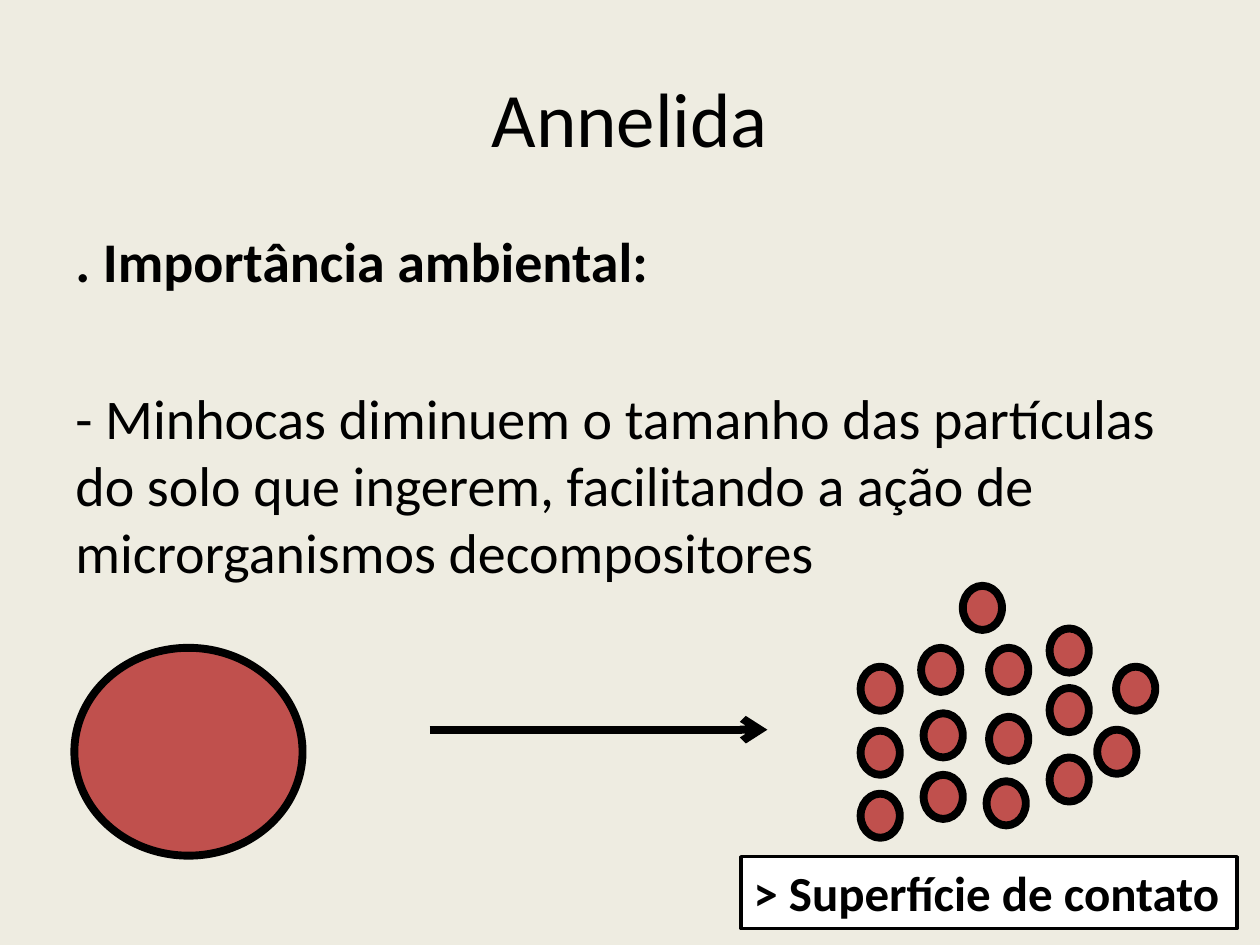
from lxml.etree import SubElement
from pptx import Presentation
from pptx.dml.color import RGBColor
from pptx.enum.shapes import MSO_CONNECTOR, MSO_SHAPE
from pptx.enum.text import MSO_ANCHOR, PP_ALIGN
from pptx.oxml.ns import qn
from pptx.util import Cm, Pt

FONT = "Calibri"
BLACK, WHITE, SOIL, BACKGROUND = "000000", "FFFFFF", "C0504D", "EEECE1"
THICK = 4.5

PARTICLE_WIDTH, PARTICLE_HEIGHT = 0.79, 0.89
# Left edge of each column of particles, with the tops in it (cm)
PARTICLES = {
    17.35: [13.44, 14.73, 16],
    18.57: [13.06],
    18.62: [14.38, 15.62],
    19.41: [11.81],
    19.89: [15.75],
    19.94: [13.06, 14.45],
    21.16: [12.67, 13.87, 15.27],
    22.12: [14.71],
    22.5: [13.44],
}


def color(hex_code):
    return RGBColor.from_string(hex_code)


def style_paragraph(para, size, bold=False, align=PP_ALIGN.LEFT):
    para.alignment = align
    for span in para.runs:
        span.font.name = FONT
        span.font.size = Pt(size)
        span.font.bold = bold
        span.font.color.rgb = color(BLACK)


def add_text(slide, left, top, width, height, anchor=MSO_ANCHOR.TOP):
    box = slide.shapes.add_textbox(Cm(left), Cm(top), Cm(width), Cm(height))
    box.text_frame.word_wrap = True
    box.text_frame.vertical_anchor = anchor
    return box.text_frame


def add_figure(slide, kind, left, top, width, height, fill, line_width):
    shape = slide.shapes.add_shape(kind, Cm(left), Cm(top), Cm(width), Cm(height))
    shape.shadow.inherit = False
    shape.fill.solid()
    shape.fill.fore_color.rgb = color(fill)
    shape.line.color.rgb = color(BLACK)
    shape.line.width = Pt(line_width)
    return shape


def add_arrow(slide, left, right, level):
    arrow = slide.shapes.add_connector(
        MSO_CONNECTOR.STRAIGHT, Cm(left), Cm(level), Cm(right), Cm(level))
    arrow.line.color.rgb = color(BLACK)
    arrow.line.width = Pt(THICK)
    SubElement(arrow.line._get_or_add_ln(), qn("a:tailEnd"), type="arrow")
    SubElement(arrow._element.spPr, qn("a:effectLst"))


def main():
    deck = Presentation()
    deck.slide_width, deck.slide_height = Cm(25.4), Cm(19.05)
    slide = deck.slides.add_slide(deck.slide_layouts[6])
    slide.background.fill.solid()
    slide.background.fill.fore_color.rgb = color(BACKGROUND)

    # Title
    title = add_text(slide, 1.27, 0.76, 22.86, 3.18, MSO_ANCHOR.MIDDLE)
    title.text = "Annelida"
    style_paragraph(title.paragraphs[0], 44, align=PP_ALIGN.CENTER)

    # Heading and statement
    body = add_text(slide, 1.27, 4.45, 22.86, 12.57)
    heading = body.paragraphs[0]
    heading.text = ". Importância ambiental:"
    style_paragraph(heading, 32, bold=True)
    statement = body.add_paragraph()
    statement.text = ("- Minhocas diminuem o tamanho das partículas do solo que "
                      "ingerem, facilitando a ação de microrganismos decompositores")
    statement.space_before = Pt(51)
    style_paragraph(statement, 32)

    # One large particle becomes many small ones
    add_figure(slide, MSO_SHAPE.OVAL, 1.5, 13.06, 4.6, 4.19, SOIL, THICK)
    add_arrow(slide, 8.66, 15.47, 14.71)
    for left, tops in PARTICLES.items():
        for top in tops:
            add_figure(slide, MSO_SHAPE.OVAL, left, top,
                       PARTICLE_WIDTH, PARTICLE_HEIGHT, SOIL, THICK)

    # Conclusion label
    label = add_figure(slide, MSO_SHAPE.RECTANGLE, 14.94, 17.27, 10, 1.45, WHITE, 2)
    label.text_frame.text = "> Superfície de contato"
    label.text_frame.word_wrap = True
    label.text_frame.vertical_anchor = MSO_ANCHOR.TOP
    style_paragraph(label.text_frame.paragraphs[0], 28, bold=True)

    deck.save("out.pptx")


if __name__ == "__main__":
    main()
